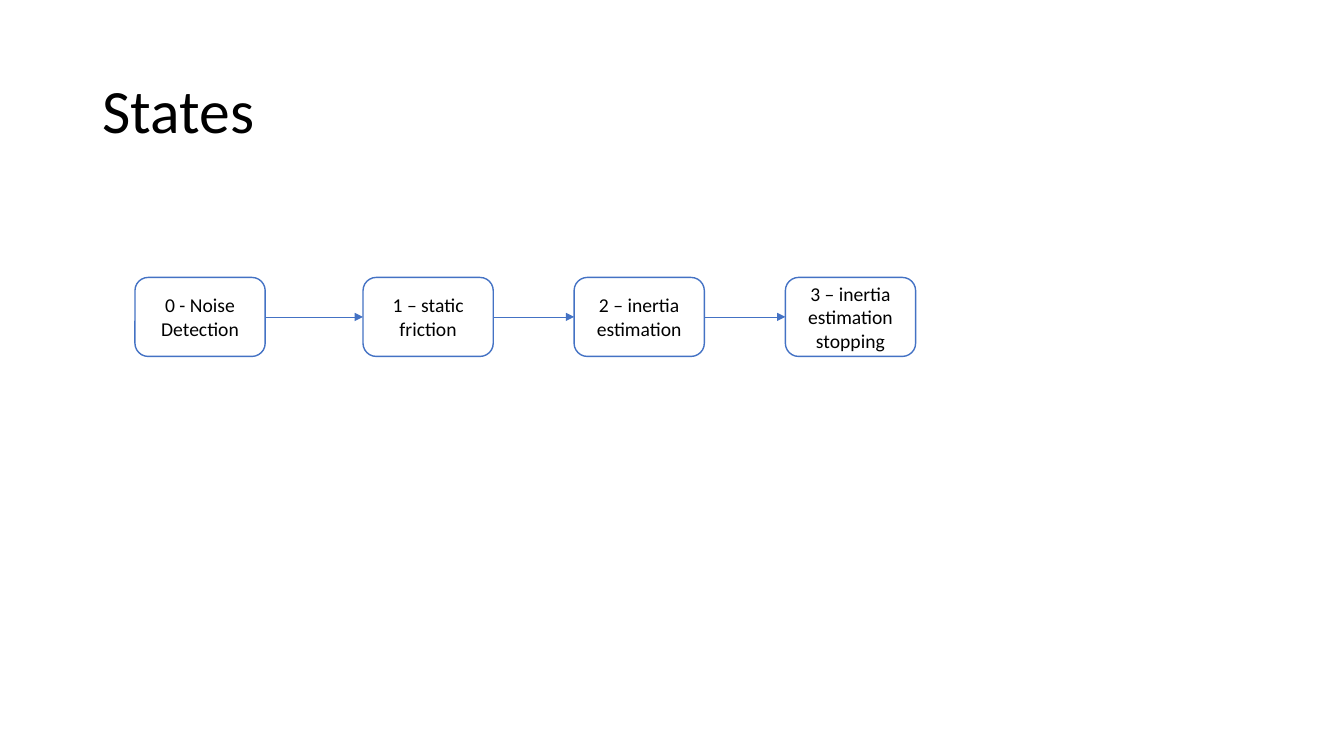
from itertools import pairwise

from lxml.etree import SubElement
from pptx import Presentation
from pptx.dml.color import RGBColor
from pptx.enum.shapes import MSO_CONNECTOR, MSO_SHAPE
from pptx.enum.text import MSO_ANCHOR, MSO_AUTO_SIZE, PP_ALIGN
from pptx.oxml.ns import qn
from pptx.util import Pt

COLORS = {"text": "000000", "box": "FFFFFF", "outline": "4472C4"}
BOX_TOP, BOX_WIDTH, BOX_HEIGHT = 198.2, 93, 56.4
LEFT_SITE, RIGHT_SITE = 1, 3

STATES = [
    (96.4, "0 - Noise Detection"),
    (259.3, "1 – static friction"),
    (410.1, "2 – inertia estimation"),
    (561, "3 – inertia estimation\nstopping"),
]


class StateDiagram:
    font_name = "Calibri"

    def __init__(self, slide):
        self.slide = slide

    def color(self, name):
        return RGBColor.from_string(COLORS[name])

    def set_text(self, frame, text, size, align):
        frame.text = text
        frame.word_wrap = True
        frame.auto_size = MSO_AUTO_SIZE.NONE
        frame.vertical_anchor = MSO_ANCHOR.MIDDLE
        for paragraph in frame.paragraphs:
            paragraph.alignment = align
            paragraph.font.name = self.font_name
            paragraph.font.size = Pt(size)
            paragraph.font.color.rgb = self.color("text")

    def title(self, text):
        heading = self.slide.shapes.title
        heading.left, heading.top = Pt(66), Pt(28.75)
        heading.width, heading.height = Pt(828), Pt(104.4)
        self.set_text(heading.text_frame, text, 44, PP_ALIGN.LEFT)
        heading.text_frame.paragraphs[0].line_spacing = 0.9

    def state(self, left, text):
        box = self.slide.shapes.add_shape(
            MSO_SHAPE.ROUNDED_RECTANGLE,
            Pt(left), Pt(BOX_TOP), Pt(BOX_WIDTH), Pt(BOX_HEIGHT))
        box.shadow.inherit = False
        box.fill.solid()
        box.fill.fore_color.rgb = self.color("box")
        box.line.color.rgb = self.color("outline")
        box.line.width = Pt(1)
        self.set_text(box.text_frame, text, 14, PP_ALIGN.CENTER)
        return box

    def transition(self, source, target):
        """Join two states with an arrow from right side to left side."""
        arrow = self.slide.shapes.add_connector(
            MSO_CONNECTOR.STRAIGHT, 0, 0, 0, 0)
        arrow.begin_connect(source, RIGHT_SITE)
        arrow.end_connect(target, LEFT_SITE)
        arrow.line.color.rgb = self.color("outline")
        arrow.line.width = Pt(0.5)
        properties = arrow._element.spPr
        SubElement(properties.find(qn("a:ln")), qn("a:tailEnd"), type="triangle")
        SubElement(properties, qn("a:effectLst"))


def main():
    presentation = Presentation()
    presentation.slide_width, presentation.slide_height = Pt(960), Pt(540)
    title_only = presentation.slide_layouts[5]
    diagram = StateDiagram(presentation.slides.add_slide(title_only))
    diagram.title("States")
    boxes = [diagram.state(left, text) for left, text in STATES]
    for source, target in pairwise(boxes):
        diagram.transition(source, target)
    presentation.save("out.pptx")


if __name__ == "__main__":
    main()
